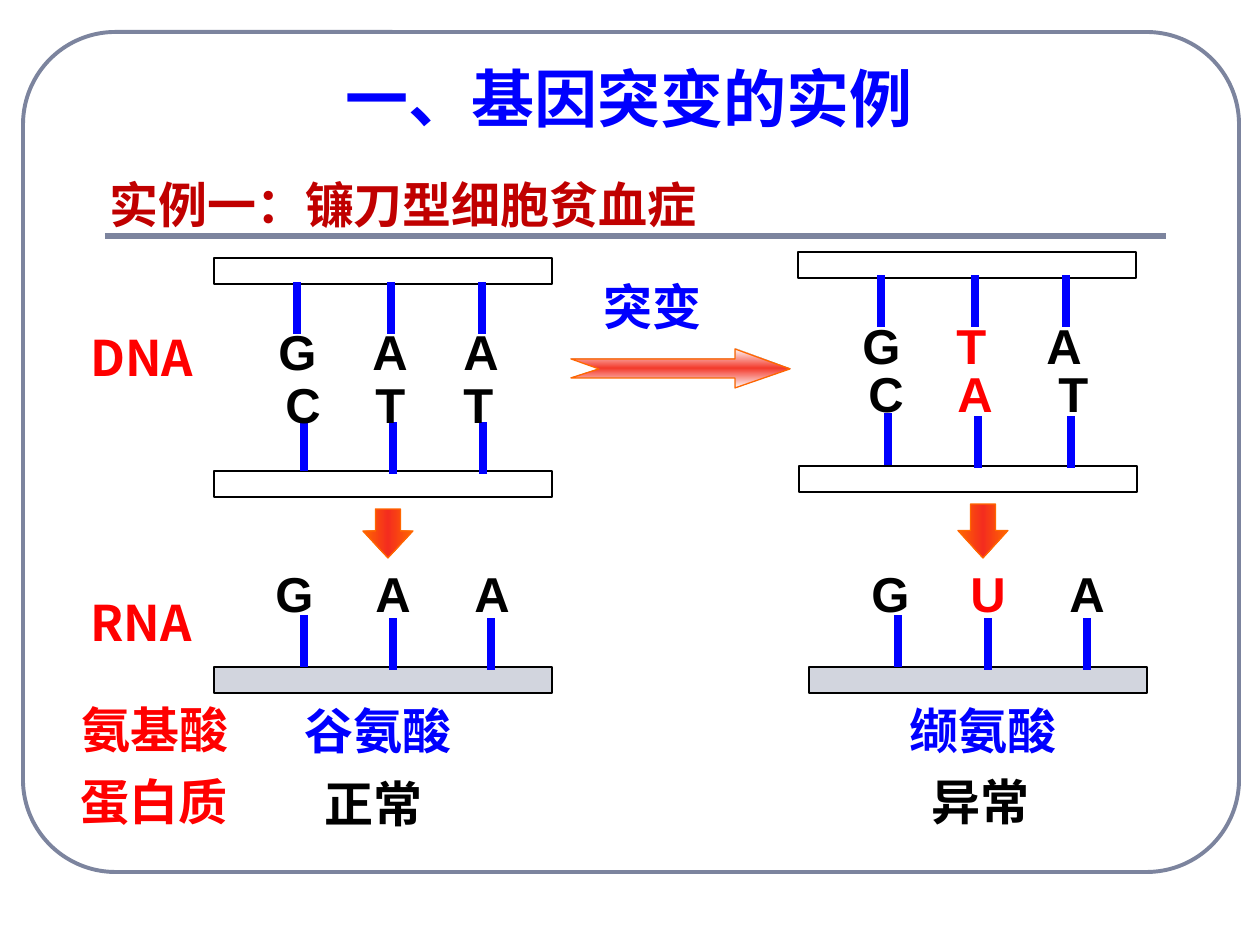
"""Build a slide comparing normal and mutated genes in sickle cell anaemia."""
import pptx
import pptx.dml.color
import pptx.enum.shapes
import pptx.enum.text
import pptx.oxml
import pptx.oxml.ns
import pptx.util

SCALE = 914400 // 126
SHAPES = pptx.enum.shapes.MSO_SHAPE
CJK = "Noto Sans CJK SC"
BLACK, RED, BLUE, WHITE = "000000", "FF0000", "0000FF", "FFFFFF"
SLATE, ORANGE, SCARLET, PALE = "7C849E", "FF6600", "F42D1E", "D2D5DE"
BAR_WIDTH, BAR_HEIGHT, RUNG_LENGTH = 338, 26, 52
qn = pptx.oxml.ns.qn


def px(*lengths):
    return [pptx.util.Emu(length * SCALE) for length in lengths]


def colour(code):
    return pptx.dml.color.RGBColor.from_string(code)


def style_line(shape, code, width):
    shape.line.color.rgb = colour(code)
    shape.line.width = pptx.util.Pt(width)


def write(box, text, code, font="Arial", size=28):
    frame = box.text_frame
    frame.auto_size = pptx.enum.text.MSO_AUTO_SIZE.NONE
    frame.vertical_anchor = pptx.enum.text.MSO_ANCHOR.TOP
    frame.margin_top = frame.margin_bottom = pptx.util.Inches(0.05)
    frame.margin_left = frame.margin_right = pptx.util.Inches(0.1)
    para = frame.paragraphs[0]
    para.alignment = pptx.enum.text.PP_ALIGN.LEFT
    span = para.add_run()
    span.text = text
    span.font.name = font
    span.font.size = pptx.util.Pt(size)
    span.font.bold = True
    span.font.color.rgb = colour(code)
    if font != "Arial":
        east = span.font._element.makeelement(qn("a:ea"), {"typeface": CJK})
        span.font._element.find(qn("a:latin")).addnext(east)


def add_title(page, text):
    title = page.shapes.title
    title.left, title.top, title.width, title.height = px(333, 53, 604, 88)
    title.text_frame.word_wrap = True
    write(title, text, BLUE, CJK, 36)


def add_label(page, text, left, top, width, code, font=CJK):
    box = page.shapes.add_textbox(*px(left, top, width, 72))
    box.text_frame.word_wrap = True
    write(box, text, code, font)


def add_rule(page, start, end, code, width):
    line = page.shapes.add_connector(
        pptx.enum.shapes.MSO_CONNECTOR.STRAIGHT, *px(*start, *end))
    style_line(line, code, width)
    properties = line._element.spPr
    properties.append(properties.makeelement(qn("a:effectLst"), {}))


def add_bar(page, left, top, code):
    bar = page.shapes.add_shape(SHAPES.RECTANGLE, *px(left, top, BAR_WIDTH, BAR_HEIGHT))
    bar.shadow.inherit = False
    bar.fill.solid()
    bar.fill.fore_color.rgb = colour(code)
    style_line(bar, BLACK, 0.75)


def add_strand(page, left, top, code, rung_top, letter_top, bases, step=3):
    """Draw a bar with its bases, given as (letter, letter left, rung x, colour)."""
    add_bar(page, left, top, code)
    for index, (letter, letter_left, rung, letter_code) in enumerate(bases):
        start = rung_top + (step if index else 0)
        add_rule(page, (rung, start + RUNG_LENGTH), (rung, start), BLUE, 4.5)
        add_label(page, letter, letter_left, letter_top, 83, letter_code, "Arial")


def paint_gradient(shape, edge, angle, alphas=(100, 100, 100)):
    shape.shadow.inherit = False
    shape.fill.gradient()
    shape.fill.gradient_angle = angle
    stops = shape._element.spPr.find(qn("a:gradFill")).find(qn("a:gsLst"))
    for stop in list(stops):
        stops.remove(stop)
    for place, code, alpha in zip((0, 50, 100), (edge, SCARLET, edge), alphas):
        stops.append(pptx.oxml.parse_xml(
            f'<a:gs {pptx.oxml.ns.nsdecls("a")} pos="{place * 1000}">'
            f'<a:srgbClr val="{code}"><a:alpha val="{alpha * 1000}"/></a:srgbClr></a:gs>'))
    style_line(shape, ORANGE, 0.75)


def add_down_arrow(page, left, top, height):
    arrow = page.shapes.add_shape(SHAPES.DOWN_ARROW, *px(left, top, 50, height))
    arrow.adjustments[0], arrow.adjustments[1] = 0.5, 0.55
    paint_gradient(arrow, ORANGE, 0)


def add_mutation_arrow(page):
    builder = page.shapes.build_freeform(571, 359, SCALE)
    builder.add_line_segments([(735, 359), (735, 349), (790, 369), (735, 388),
                               (735, 378), (571, 378), (599, 369)], close=True)
    paint_gradient(builder.convert_to_shape(), WHITE, 90, (94, 93, 94))


def add_frame(page):
    frame = page.shapes.add_shape(SHAPES.ROUNDED_RECTANGLE, *px(23, 32, 1216, 840))
    frame.adjustments[0] = 0.11
    frame.shadow.inherit = False
    frame.fill.background()
    style_line(frame, SLATE, 2.25)
    add_rule(page, (105, 236), (1166, 236), SLATE, 3)


def add_normal_gene(page):
    add_strand(page, 214, 258, WHITE, 282, 315, [
        ("G", 266, 297, BLACK), ("A", 360, 391, BLACK), ("A", 451, 482, BLACK)], 0)
    add_strand(page, 214, 471, WHITE, 419, 368, [
        ("C", 273, 304, BLACK), ("T", 363, 393, BLACK), ("T", 451, 483, BLACK)])
    add_down_arrow(page, 363, 509, 49)
    add_strand(page, 214, 667, PALE, 615, 557, [
        ("G", 263, 304, BLACK), ("A", 363, 393, BLACK), ("A", 462, 491, BLACK)])


def add_mutant_gene(page):
    add_strand(page, 798, 252, WHITE, 275, 309, [
        ("G", 850, 881, BLACK), ("T", 944, 975, RED), ("A", 1034, 1066, BLACK)], 0)
    add_strand(page, 799, 466, WHITE, 413, 357, [
        ("C", 856, 888, BLACK), ("A", 945, 978, RED), ("T", 1046, 1071, BLACK)])
    add_down_arrow(page, 958, 504, 54)
    add_strand(page, 809, 667, PALE, 615, 557, [
        ("G", 859, 898, BLACK), ("U", 958, 988, RED), ("A", 1057, 1087, BLACK)])


def main():
    deck = pptx.Presentation()
    deck.slide_width, deck.slide_height = px(1260, 945)
    page = deck.slides.add_slide(deck.slide_layouts[5])
    add_frame(page)
    add_title(page, "一、基因突变的实例")
    add_label(page, "实例一：镰刀型细胞贫血症", 97, 168, 1062, "C00000", "Roboto")
    add_normal_gene(page)
    add_mutation_arrow(page)
    add_mutant_gene(page)
    for text, left, top, width, code in [
            ("突变", 591, 270, 267, BLUE),
            ("DNA", 78, 321, 174, RED),
            ("RNA", 78, 586, 174, RED),
            ("氨基酸", 69, 693, 248, RED),
            ("谷氨酸", 292, 694, 267, BLUE),
            ("缬氨酸", 897, 694, 243, BLUE),
            ("蛋白质", 68, 765, 287, RED),
            ("正常", 312, 767, 268, BLACK),
            ("异常", 919, 765, 267, BLACK)]:
        add_label(page, text, left, top, width, code)
    deck.save("out.pptx")


if __name__ == "__main__":
    main()
